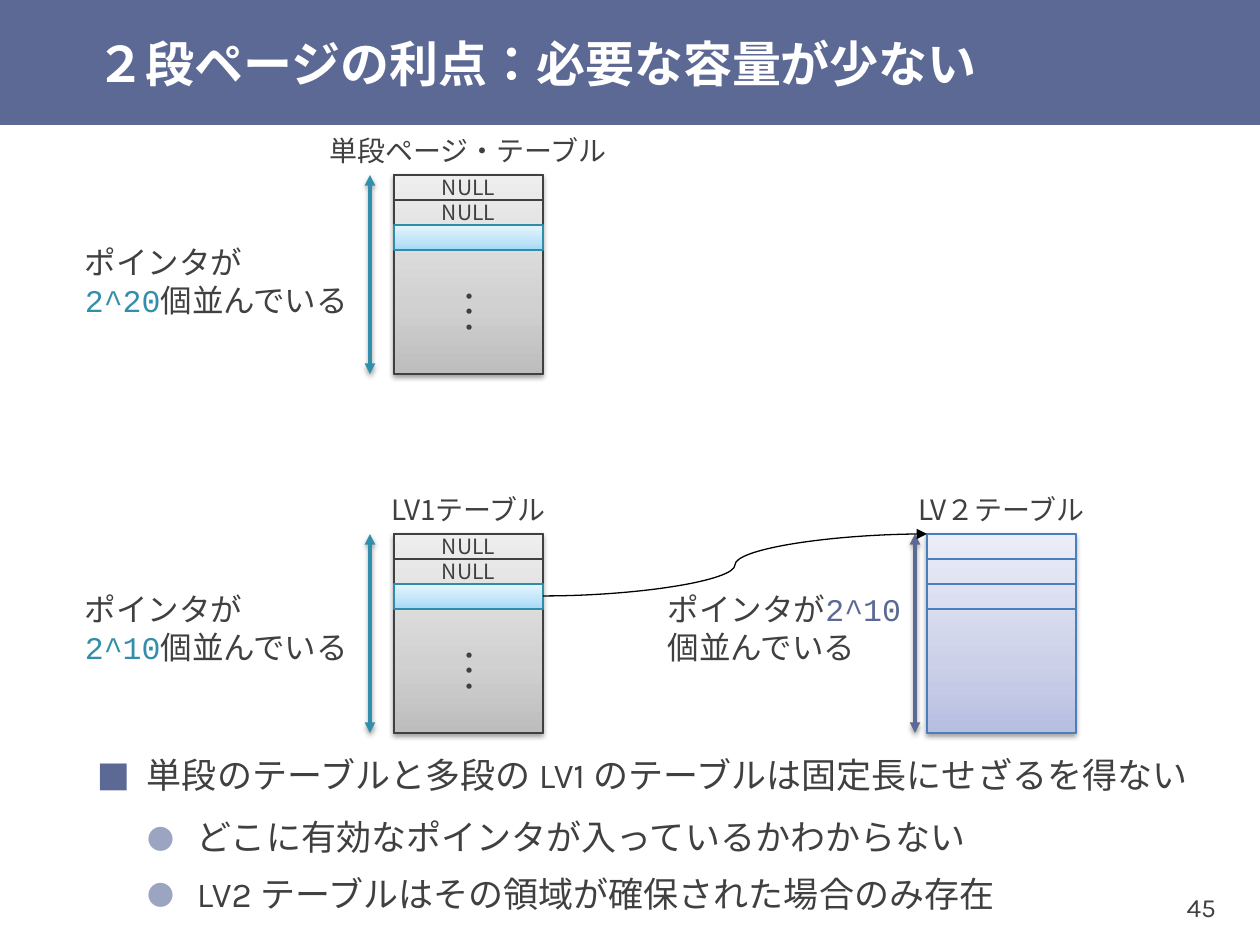
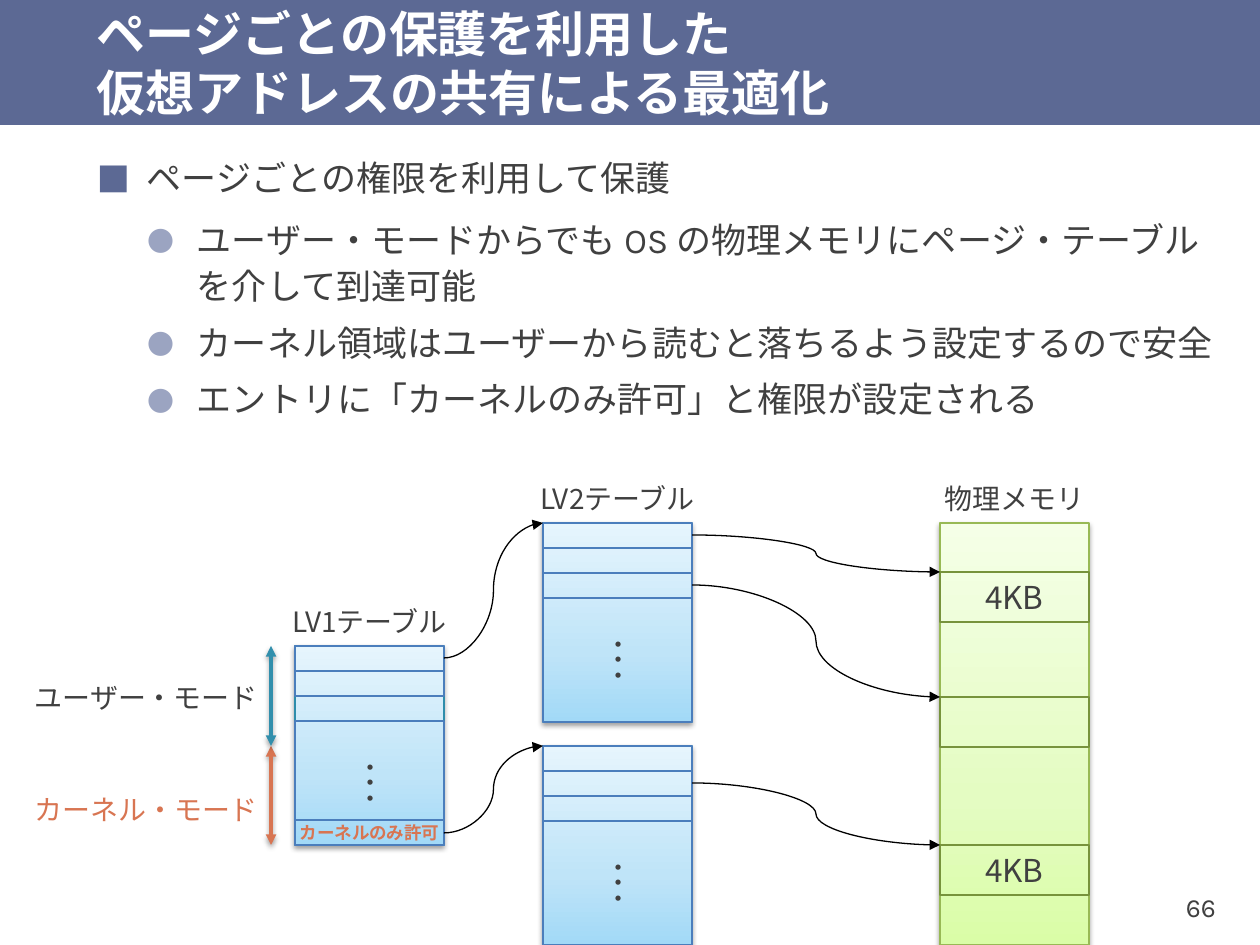
from copy import deepcopy
from dataclasses import dataclass
from typing import NamedTuple, Optional, Union

import pptx
import pptx.dml.color
import pptx.enum.lang
import pptx.enum.shapes
import pptx.enum.text
import pptx.oxml
import pptx.oxml.ns
import pptx.util

RGB = pptx.dml.color.RGBColor
ALIGN = pptx.enum.text.PP_ALIGN
MIDDLE = pptx.enum.text.MSO_ANCHOR.MIDDLE
JAPANESE = pptx.enum.lang.MSO_LANGUAGE_ID.JAPANESE
RECTANGLE = pptx.enum.shapes.MSO_SHAPE.RECTANGLE
CONNECTOR = pptx.enum.shapes.MSO_CONNECTOR

EMU_PER_PX = 914400 / 126
HEADING_FONT, LABEL_FONT, CODE_FONT = "Karla", "Noto Sans CJK JP", "Courier New"

NAVY = RGB(0x5C, 0x69, 0x94)
LAVENDER = RGB(0x9B, 0xA4, 0xC1)
WHITE = RGB(0xFF, 0xFF, 0xFF)
BLACK = RGB(0, 0, 0)
INK = RGB(0x40, 0x40, 0x40)
TEAL = RGB(0x32, 0x8F, 0xAC)
DARK_TEAL = RGB(0x2E, 0x8D, 0xAB)
ORANGE = RGB(0xD8, 0x75, 0x52)
CELL_BLUE = RGB(0x4B, 0x7E, 0xBC)
INDIGO = RGB(0x59, 0x66, 0x92)
LIME = RGB(0x98, 0xB9, 0x55)
OLIVE = RGB(0x77, 0x93, 0x3C)

# Gradients run from bottom to top with stops at 0, 35 and 100 percent.
Gradient = tuple[RGB, RGB, RGB]
GREYS = (RGB(0xBD, 0xBD, 0xBD), RGB(0xD1, 0xD1, 0xD1), RGB(0xEE, 0xEE, 0xEE))
BLUES = (RGB(0xA2, 0xD9, 0xF7), RGB(0xBF, 0xE4, 0xF8), RGB(0xE6, 0xF5, 0xFD))
VIOLETS = (RGB(0xB6, 0xBE, 0xE1), RGB(0xCC, 0xD1, 0xE9), RGB(0xEB, 0xED, 0xF7))
GREENS = (RGB(0xDA, 0xFD, 0xA7), RGB(0xE4, 0xFC, 0xC2), RGB(0xF5, 0xFF, 0xE7))

ROW = 25
COLUMN = 149
REST = 124
TABLE_HEIGHT = 3 * ROW + REST
PAGE = 2 * ROW
LABEL_WIDTH, LABEL_HEIGHT = 99, 50
BULLET_INDENT = 50


class Run(NamedTuple):
    text: str
    color: RGB


class Palette(NamedTuple):
    gradient: Gradient
    edge: RGB
    cell_edge: RGB


GREY_TABLE = Palette(GREYS, BLACK, INK)
VIOLET_TABLE = Palette(VIOLETS, INDIGO, CELL_BLUE)
BLUE_TABLE = Palette(BLUES, DARK_TEAL, CELL_BLUE)


@dataclass
class PageTable:
    x: int
    y: int
    palette: Palette
    label: str = ""
    rows: tuple[str, ...] = ("", "", "")
    pointer_row: Optional[int] = None
    dots: bool = True

    @property
    def right(self) -> int:
        return self.x + COLUMN

    @property
    def bottom(self) -> int:
        return self.y + TABLE_HEIGHT

    def row_middle(self, row: int) -> int:
        return self.y + row * ROW + ROW // 2


def px(length: int) -> int:
    return round(length * EMU_PER_PX)


def child(parent, tag: str, **attributes):
    element = parent.makeelement(pptx.oxml.ns.qn(tag), attributes)
    parent.append(element)
    return element


def set_effects(properties, shadow: bool) -> None:
    for old in properties.findall(pptx.oxml.ns.qn("a:effectLst")):
        properties.remove(old)
    effects = child(properties, "a:effectLst")
    if shadow:
        outer = child(effects, "a:outerShdw", blurRad="39370", dist="20320",
                      dir="5400000", rotWithShape="0")
        child(child(outer, "a:srgbClr", val="000000"), "a:alpha", val="38000")


def write(shape, *paragraphs: Union[str, list[Run]], size: int = 16,
          color: RGB = INK, font: str = LABEL_FONT, bold: bool = False,
          align=ALIGN.CENTER, wrap: bool = False,
          margins: tuple[int, int] = (13, 6), vertical: bool = False) -> None:
    """Fill a shape with paragraphs; a line feed inside a run is a line break."""
    frame = shape.text_frame
    frame.word_wrap = wrap
    frame.vertical_anchor = MIDDLE
    frame.margin_left = frame.margin_right = px(margins[0])
    frame.margin_top = frame.margin_bottom = px(margins[1])
    if vertical:
        frame._txBody.bodyPr.set("vert", "vert270")
    east_asian_font = HEADING_FONT if font == HEADING_FONT else LABEL_FONT
    for index, content in enumerate(paragraphs):
        paragraph = frame.add_paragraph() if index else frame.paragraphs[0]
        paragraph.alignment = align
        runs = [Run(content, color)] if isinstance(content, str) else content
        for piece in runs:
            for number, line in enumerate(piece.text.splitlines()):
                if number:
                    paragraph.add_line_break()
                    paragraph._p[-1].append(deepcopy(run.font._element))
                run = paragraph.add_run()
                run.text = line
                run.font.size = pptx.util.Pt(size)
                run.font.bold = bold
                run.font.language_id = JAPANESE
                run.font.color.rgb = piece.color
                run.font.name = font
                latin = run.font._element.find(pptx.oxml.ns.qn("a:latin"))
                latin.addnext(latin.makeelement(
                    pptx.oxml.ns.qn("a:ea"), {"typeface": east_asian_font}))


def add_text(slide, x: int, y: int, width: int, height: int, *paragraphs, **text_format):
    """Write on an unfilled rectangle, which lets unwrapped text run past its sides."""
    area = add_box(slide, x, y, width, height)
    write(area, *paragraphs, **text_format)
    return area


def add_label(slide, x: int, y: int, text: str, color: RGB = INK) -> None:
    add_text(slide, x, y, LABEL_WIDTH, LABEL_HEIGHT, text, color=color)


def add_box(slide, x: int, y: int, width: int, height: int,
            fill: Union[RGB, Gradient, None] = None, edge: Optional[RGB] = None,
            weight: float = 0.75, shadow: bool = False):
    box = slide.shapes.add_shape(RECTANGLE, px(x), px(y), px(width), px(height))
    box.shadow.inherit = False
    if fill is None:
        box.fill.background()
    elif isinstance(fill, RGB):
        box.fill.solid()
        box.fill.fore_color.rgb = fill
    else:
        box.fill.gradient()
        box.fill.gradient_angle = 90
        stops = box._element.spPr.find(".//" + pptx.oxml.ns.qn("a:gsLst"))
        for stop in list(stops):
            stops.remove(stop)
        for position, color in zip((0, 35, 100), fill):
            child(child(stops, "a:gs", pos=str(position * 1000)),
                  "a:srgbClr", val=str(color))
    if edge is None:
        box.line.fill.background()
    else:
        box.line.color.rgb = edge
        box.line.width = pptx.util.Pt(weight)
    set_effects(box._element.spPr, shadow)
    return box


def add_arrow(slide, start: tuple[int, int], end: tuple[int, int],
              span_color: Optional[RGB] = None) -> None:
    """Draw a thin curved pointer, or a two-headed span when a colour is given."""
    kind = CONNECTOR.STRAIGHT if span_color else CONNECTOR.CURVE
    arrow = slide.shapes.add_connector(kind, *map(px, start + end))
    arrow.line.color.rgb = span_color or BLACK
    arrow.line.width = pptx.util.Pt(2 if span_color else 0.75)
    line = arrow.line._get_or_add_ln()
    if span_color:
        child(line, "a:headEnd", type="triangle")
    child(line, "a:tailEnd", type="triangle")
    set_effects(arrow._element.spPr, shadow=bool(span_color))


def add_page_table(slide, table: PageTable) -> None:
    palette = table.palette
    add_box(slide, table.x, table.y, COLUMN, TABLE_HEIGHT,
            palette.gradient, palette.edge, shadow=True)
    rest = add_box(slide, table.x, table.y + 3 * ROW, COLUMN, REST, edge=palette.cell_edge)
    if table.dots:
        write(rest, "･･･", size=18, vertical=True)
    for row, text in enumerate(table.rows):
        points = row == table.pointer_row
        cell = add_box(slide, table.x, table.y + row * ROW, COLUMN, ROW,
                       BLUES if points else None,
                       DARK_TEAL if points else palette.cell_edge)
        if text:
            write(cell, text, size=12)
    if table.label:
        add_label(slide, table.x + ROW, table.y - LABEL_HEIGHT, table.label)


def add_bullets(slide, y: int, height: int, heading: str, *points: str) -> None:
    area = add_text(slide, 84, y, 1144, height, heading, *points, size=20,
                    font=HEADING_FONT, align=ALIGN.LEFT, wrap=True)
    for index, paragraph in enumerate(area.text_frame.paragraphs):
        level = min(index, 1)
        paragraph.level = level
        paragraph.line_spacing = 1.1
        paragraph.space_before = pptx.util.Pt(3 * level)
        paragraph.space_after = pptx.util.Pt(3 if level else 6)
        properties = paragraph._p.get_or_add_pPr()
        properties.set("marL", str(px(BULLET_INDENT * (level + 1))))
        properties.set("indent", str(-px(BULLET_INDENT)))
        child(child(properties, "a:buClr"), "a:srgbClr", val=str(LAVENDER if level else NAVY))
        child(properties, "a:buSzPct", val="90000" if level else "100000")
        child(properties, "a:buFont", typeface=HEADING_FONT)
        child(properties, "a:buChar", char="●" if level else "■")


def add_titled_slide(deck, title_text: str, number: int):
    slide = deck.slides.add_slide(deck.slide_layouts.get_by_name("Title Only"))
    title = slide.shapes.title
    title.left, title.top, title.width, title.height = map(px, (84, 0, 1176, 125))
    write(title, title_text, size=28, color=WHITE, font=HEADING_FONT, bold=True,
          align=ALIGN.LEFT, wrap=True, margins=(13, 0))
    band = add_box(slide, 0, 0, 1260, 125, NAVY)
    title._element.addprevious(band._element)
    add_text(slide, 1125, 869, 100, 76, str(number), size=15, font=HEADING_FONT,
             align=ALIGN.RIGHT, margins=(9, 5))
    return slide


def build_capacity_slide(deck) -> None:
    slide = add_titled_slide(deck, "２段ページの利点：必要な容量が少ない", 45)
    add_bullets(slide, 795, 74,
                "単段のテーブルと多段の LV1 のテーブルは固定長にせざるを得ない",
                "どこに有効なポインタが入っているかわからない",
                "LV2 テーブルはその領域が確保された場合のみ存在")
    null_rows = ("NULL", "NULL", "")
    single = PageTable(394, 175, GREY_TABLE, "単段ページ・テーブル", null_rows, 2)
    level1 = PageTable(394, 534, GREY_TABLE, "LV1テーブル", null_rows, 2)
    level2 = PageTable(927, 534, VIOLET_TABLE, "LV２テーブル", dots=False)
    for table, gap, color in ((single, 24, TEAL), (level1, 24, TEAL), (level2, 12, NAVY)):
        add_page_table(slide, table)
        span_x = table.x - gap
        add_arrow(slide, (span_x, table.bottom), (span_x, table.y), color)
    add_arrow(slide, (level1.right, level1.row_middle(2)), (level2.x, level2.y))

    counts = (
        (72, 262, ["ポインタが", [Run("2^20", TEAL), Run("個並んでいる", INK)]]),
        (72, 609, ["ポインタが", [Run("2^10", TEAL), Run("個並んでいる", INK)]]),
        (655, 609, [[Run("ポインタが", INK), Run("2^10", NAVY)], "個並んでいる"]),
    )
    for x, y, lines in counts:
        add_text(slide, x, y, 75, 38, *lines, size=18, font=CODE_FONT, align=ALIGN.LEFT)


def build_protection_slide(deck) -> None:
    slide = add_titled_slide(
        deck, """ページごとの保護を利用した
仮想アドレスの共有による最適化""", 66)
    add_bullets(slide, 162, 248,
                "ページごとの権限を利用して保護",
                "ユーザー・モードからでも OS の物理メモリにページ・テーブルを介して到達可能",
                "カーネル領域はユーザーから読むと落ちるよう設定するので安全",
                "エントリに「カーネルのみ許可」と権限が設定される")
    level1 = PageTable(295, 646, BLUE_TABLE, "LV1テーブル", ("", ""))
    user_level2 = PageTable(543, 523, BLUE_TABLE, "LV2テーブル")
    kernel_level2 = PageTable(543, 746, BLUE_TABLE)
    for table in (level1, user_level2, kernel_level2):
        add_page_table(slide, table)
    kernel_row = add_box(slide, level1.x, level1.bottom - ROW, COLUMN, ROW, edge=CELL_BLUE)
    write(kernel_row, "カーネルのみ許可", size=10, color=ORANGE, bold=True)

    memory_x, memory_y = 940, 523
    add_box(slide, memory_x, memory_y, COLUMN, 422, GREENS, LIME, shadow=True)
    add_label(slide, memory_x + ROW, memory_y - LABEL_HEIGHT, "物理メモリ")
    mapped_pages = ((572, "4KB", user_level2, 0), (697, "", user_level2, 2),
                    (845, "4KB", kernel_level2, 1))
    for y, text, table, row in mapped_pages:
        page = add_box(slide, memory_x, y, COLUMN, PAGE, edge=OLIVE, weight=1.25)
        if text:
            write(page, text, size=18)
        add_arrow(slide, (table.right, table.row_middle(row)), (memory_x, y))
    for row, table in ((0, user_level2), (7, kernel_level2)):
        add_arrow(slide, (level1.right, level1.row_middle(row)), (table.x, table.y))

    span_x, boundary = level1.x - 24, level1.y + 4 * ROW
    modes = (("カーネル・モード", ORANGE, ORANGE, 784, level1.bottom, boundary),
             ("ユーザー・モード", TEAL, INK, 672, boundary, level1.y))
    for name, span_color, text_color, label_y, bottom, top in modes:
        add_arrow(slide, (span_x, bottom), (span_x, top), span_color)
        add_label(slide, 97, label_y, name, text_color)


def main() -> None:
    deck = pptx.Presentation()
    deck.slide_width, deck.slide_height = px(1260), px(945)
    build_capacity_slide(deck)
    build_protection_slide(deck)
    deck.save("out.pptx")


if __name__ == "__main__":
    main()
